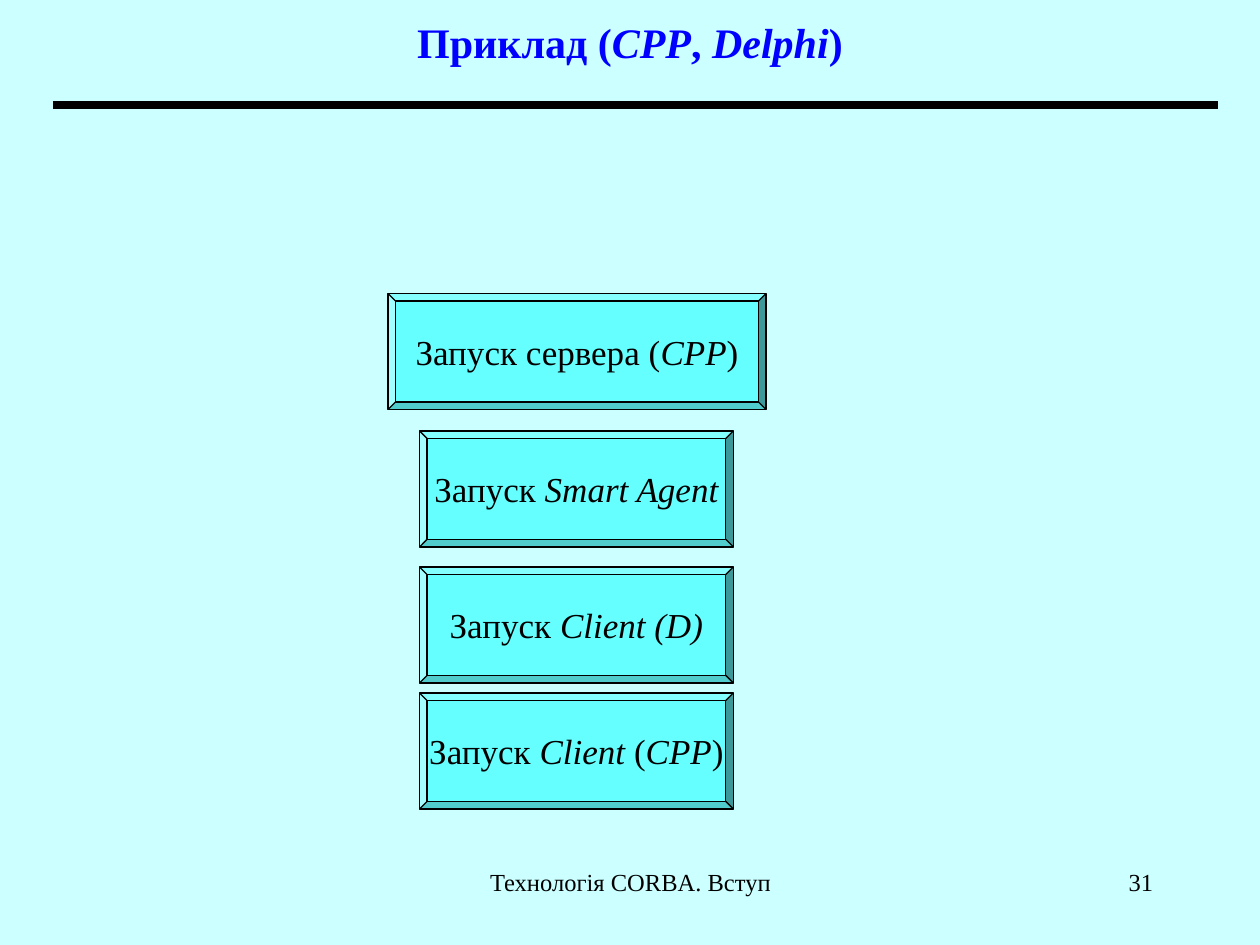
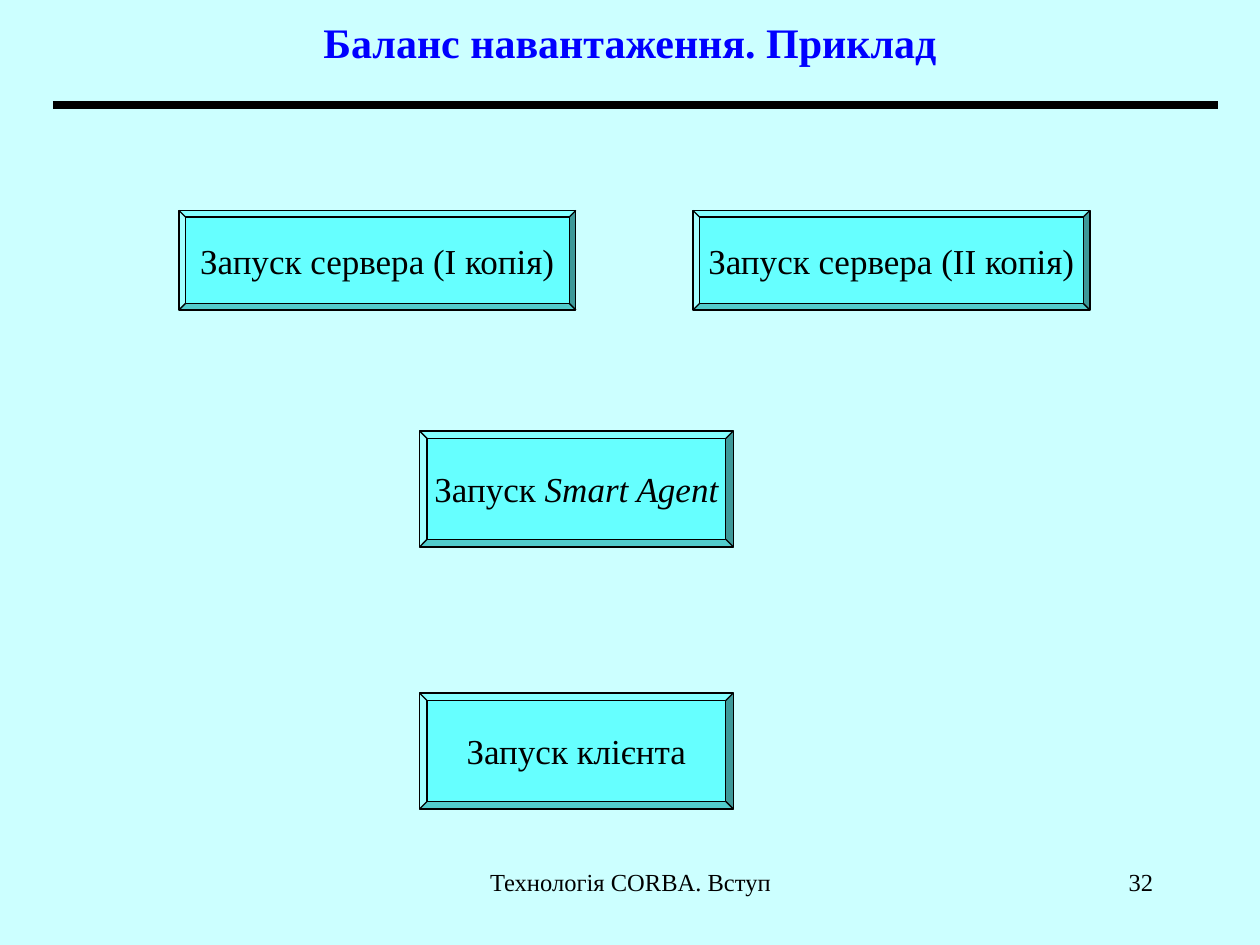
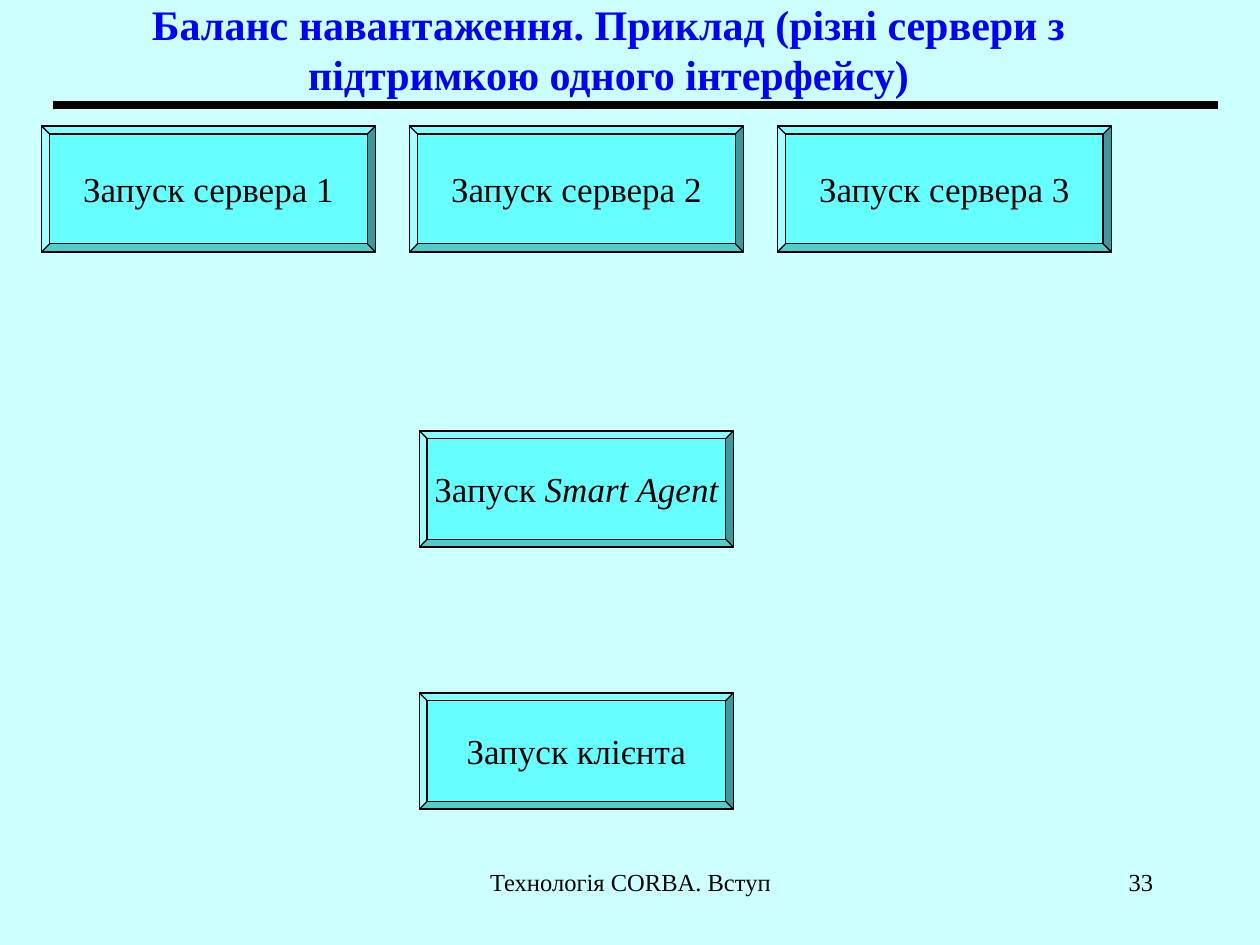
from pptx import Presentation
from pptx.dml.color import RGBColor
from pptx.enum.shapes import MSO_CONNECTOR, MSO_SHAPE
from pptx.enum.text import MSO_ANCHOR, PP_ALIGN
from pptx.oxml.ns import qn
from pptx.util import Inches, Pt
from lxml import etree

LINE = MSO_CONNECTOR.STRAIGHT
BEVEL = MSO_SHAPE.BEVEL
TOP, MIDDLE = MSO_ANCHOR.TOP, MSO_ANCHOR.MIDDLE
CENTER, RIGHT = PP_ALIGN.CENTER, PP_ALIGN.RIGHT

FONT = "Times New Roman"
BACKGROUND, TITLE_BLUE, BUTTON_CYAN, BLACK = "CCFFFF", "0000FF", "66FFFF", "000000"
FOOTER = "Технологія CORBA. Вступ"
FIRST_PAGE = 31
TITLE_BOX = (0.75, 0, 8.5, 0.67)
LONG_TITLE_BOX = (0.41, 0.11, 8.84, 0.55)
BUTTON_LEFT, BUTTON_W, BUTTON_H = 3.33, 2.49, 0.92
AGENT_TOP, CLIENT_TOP = 3.42, 5.5


def rgb(color):
    return RGBColor.from_string(color)


def write(tf, text, size, color, align, anchor, bold=False):
    tf.vertical_anchor = anchor
    p = tf.paragraphs[0]
    p.alignment = align
    for i, part in enumerate(text.split("*")):
        if part:
            r = p.add_run()
            r.text = part
            r.font.name = FONT
            r.font.size = Pt(size)
            r.font.bold = bold
            r.font.italic = i % 2 == 1
            r.font.color.rgb = rgb(color)


def add_text(s, box, text, size, color, align, anchor=TOP, bold=False):
    tf = s.shapes.add_textbox(*map(Inches, box)).text_frame
    tf.word_wrap = True
    write(tf, text, size, color, align, anchor, bold)


def add_rule(s):
    rule = s.shapes.add_connector(LINE, Inches(0.42), Inches(0.83), Inches(9.67), Inches(0.83))
    rule.line.color.rgb = rgb(BLACK)
    rule.line.width = Pt(4.5)
    etree.SubElement(rule._element.spPr, qn("a:effectLst"))


def add_button(s, text, top, left=BUTTON_LEFT, width=BUTTON_W, height=BUTTON_H):
    sp = s.shapes.add_shape(BEVEL, *map(Inches, (left, top, width, height)))
    sp.adjustments[0] = 0.065
    sp.shadow.inherit = False
    sp.fill.solid()
    sp.fill.fore_color.rgb = rgb(BUTTON_CYAN)
    sp.line.color.rgb = rgb(BLACK)
    sp.line.width = Pt(0.75)
    sp.text_frame.word_wrap = False
    write(sp.text_frame, text, 20, BLACK, CENTER, MIDDLE)


def add_button_row(s, texts, top, left, pitch, width, height):
    for i, text in enumerate(texts):
        add_button(s, text, top, left + i * pitch, width, height)


def add_agent_and_client(s, client):
    add_button(s, "Запуск *Smart Agent*", AGENT_TOP)
    add_button(s, client, CLIENT_TOP)


def add_slide(prs, title, title_box=TITLE_BOX):
    s = prs.slides.add_slide(prs.slide_layouts[6])
    s.background.fill.solid()
    s.background.fill.fore_color.rgb = rgb(BACKGROUND)
    add_text(s, title_box, title, 24, TITLE_BLUE, CENTER, MIDDLE, bold=True)
    add_rule(s)
    page = FIRST_PAGE + len(prs.slides) - 1
    add_text(s, (3.42, 6.83, 3.17, 0.5), FOOTER, 14, BLACK, CENTER)
    add_text(s, (7.17, 6.83, 2.08, 0.5), str(page), 14, BLACK, RIGHT)
    return s


def main():
    prs = Presentation()
    prs.slide_width, prs.slide_height = Inches(10), Inches(7.5)

    s = add_slide(prs, "Приклад (*CPP*, *Delphi*)")
    add_button(s, "Запуск сервера (*CPP*)", 2.33, left=3.08, width=3)
    add_agent_and_client(s, "Запуск *Client *(*CPP*)")
    add_button(s, "Запуск *Client (D)*", 4.5)

    s = add_slide(prs, "Баланс навантаження. Приклад")
    servers = [f"Запуск сервера ({n} копія)" for n in ("I", "II")]
    add_button_row(s, servers, top=1.67, left=1.42, pitch=4.08, width=3.15, height=0.79)
    add_agent_and_client(s, "Запуск клієнта")

    s = add_slide(prs, "Баланс навантаження. Приклад (різні сервери з підтримкою одного інтерфейсу)",
                  LONG_TITLE_BOX)
    servers = [f"Запуск сервера {n}" for n in (1, 2, 3)]
    add_button_row(s, servers, top=1, left=0.33, pitch=2.92, width=2.65, height=1)
    add_agent_and_client(s, "Запуск клієнта")

    prs.save("out.pptx")


if __name__ == "__main__":
    main()
